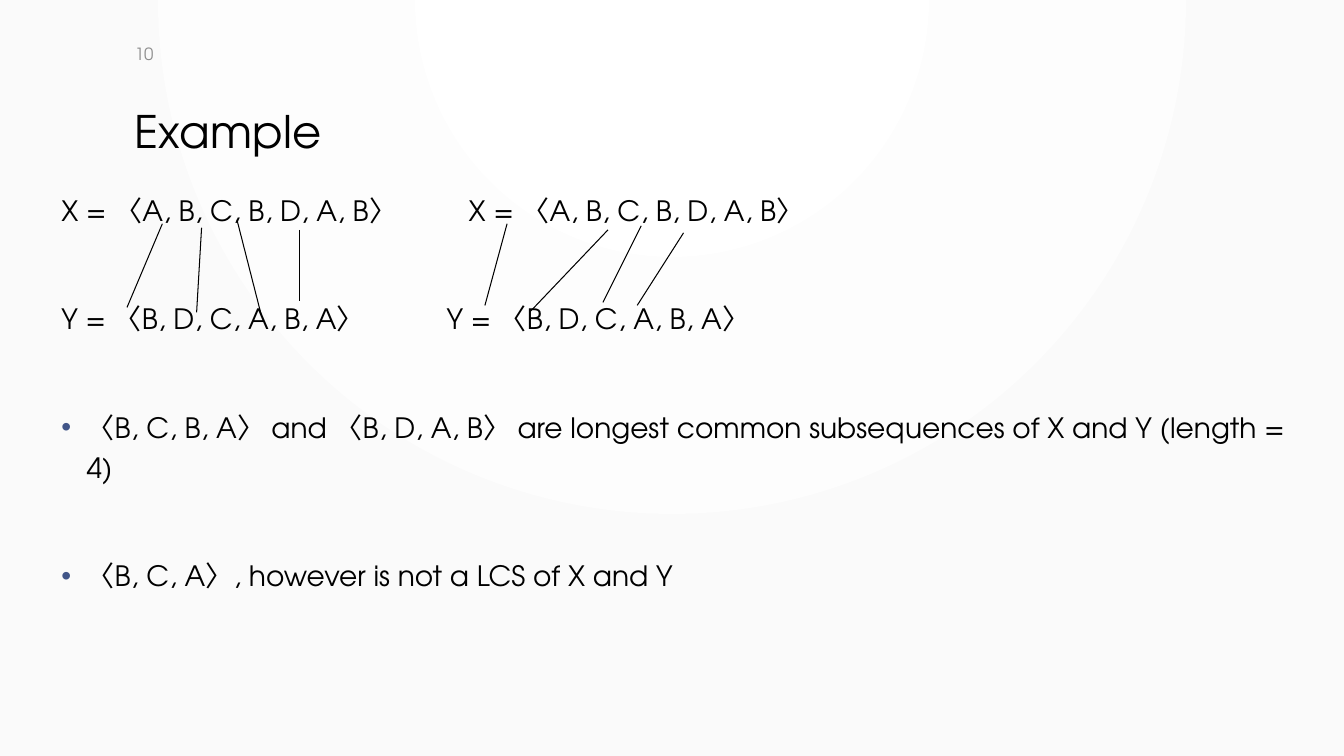
from lxml.etree import SubElement
from pptx import Presentation
from pptx.dml.color import RGBColor
from pptx.enum.shapes import MSO_CONNECTOR
from pptx.enum.text import MSO_ANCHOR
from pptx.oxml.ns import qn
from pptx.util import Inches, Pt

THEME = {
    "font": "TeX Gyre Adventor",
    "ink": RGBColor.from_string("000000"),
    "muted": RGBColor.from_string("8C8C8C"),
    "centre": RGBColor.from_string("FFFFFF"),
    "edge": RGBColor.from_string("FAFAFA"),
    "bullet": "415588",
    "number_size": Pt(12),
    "title_size": Pt(32),
    "body_size": Pt(20),
    "match_width": Pt(0.75),
}

deck = Presentation()
deck.slide_width, deck.slide_height = Inches(13.33), Inches(7.5)
slide = deck.slides.add_slide(deck.slide_layouts[6])
COLUMN, ROW = deck.slide_width / 100, deck.slide_height / 100

backdrop = slide.background.fill
backdrop.gradient()
for stop, position, shade in zip(backdrop.gradient_stops, (0, 1), ("centre", "edge")):
    stop.position = position
    stop.color.rgb = THEME[shade]
glow = slide.element.find(".//" + qn("a:gradFill"))
glow.remove(glow.find(qn("a:lin")))
circle = SubElement(glow, qn("a:path"), {"path": "circle"})
SubElement(circle, qn("a:fillToRect"), {"l": "43000", "t": "0", "r": "43000", "b": "100000"})


def add_frame(left, top, width, height, anchor=MSO_ANCHOR.TOP):
    frame = slide.shapes.add_textbox(
        round(left * COLUMN), round(top * ROW), round(width * COLUMN), round(height * ROW)
    ).text_frame
    frame.word_wrap = True
    frame.vertical_anchor = anchor
    return frame


def write(paragraph, text, size, color, **spacing):
    run = paragraph.add_run()
    run.text = text
    run.font.name, run.font.size, run.font.color.rgb = THEME["font"], size, color
    for setting, value in spacing.items():
        setattr(paragraph, setting, value)


page_number = add_frame(9.3, 4.8, 48.69, 4.53, MSO_ANCHOR.MIDDLE)
write(page_number.paragraphs[0], "10", THEME["number_size"], THEME["muted"])

title = add_frame(9.3, 13.87, 78.77, 15.33)
write(title.paragraphs[0], "Example", THEME["title_size"], THEME["ink"], line_spacing=0.9)

statements = [
    ("X = 〈A, B, C, B, D, A, B〉\tX = 〈A, B, C, B, D, A, B〉", 4.04),
    ("Y = 〈B, D, C, A, B, A〉\tY = 〈B, D, C, A, B, A〉", 3.82),
    ("〈B, C, B, A〉 and 〈B, D, A, B〉 are longest common subsequences of X and Y (length = 4)", None),
    ("〈B, C, A〉, however is not a LCS of X and Y", None),
]
body = add_frame(3.83, 24, 94.3, 70.93)
for index, (text, second_pair) in enumerate(statements):
    statement = body.add_paragraph() if index else body.paragraphs[0]
    write(statement, text, THEME["body_size"], THEME["ink"],
          line_spacing=1.2, space_before=Pt(48.7 if index else 0))
    layout = statement._p.get_or_add_pPr()
    if second_pair:
        stops = SubElement(layout, qn("a:tabLst"))
        SubElement(stops, qn("a:tab"), {"pos": str(Inches(second_pair)), "algn": "l"})
    else:
        layout.set("marL", str(Inches(0.25)))
        layout.set("indent", str(Inches(-0.25)))
        bullet_color = SubElement(layout, qn("a:buClr"))
        SubElement(bullet_color, qn("a:srgbClr"), {"val": THEME["bullet"]})
        SubElement(layout, qn("a:buFont"), {"typeface": "Arial"})
        SubElement(layout, qn("a:buChar"), {"char": "•"})

matches = [
    (15, 30.13, 14.63, 41.33),
    (22.28, 30.4, 22.28, 39.87),
    (12.08, 29.6, 9.45, 40.67),
    (17.63, 29.07, 19.43, 41.6),
    (37.73, 29.6, 36.08, 40.4),
    (45.24, 30.4, 39.46, 41.2),
    (47.71, 29.87, 44.86, 40),
    (50.86, 30.8, 47.41, 40.4),
]
for x_column, x_row, y_column, y_row in matches:
    match = slide.shapes.add_connector(
        MSO_CONNECTOR.STRAIGHT,
        round(x_column * COLUMN), round(x_row * ROW),
        round(y_column * COLUMN), round(y_row * ROW),
    )
    match.line.color.rgb, match.line.width = THEME["ink"], THEME["match_width"]
    SubElement(match._element.spPr, qn("a:effectLst"))

deck.save("out.pptx")
